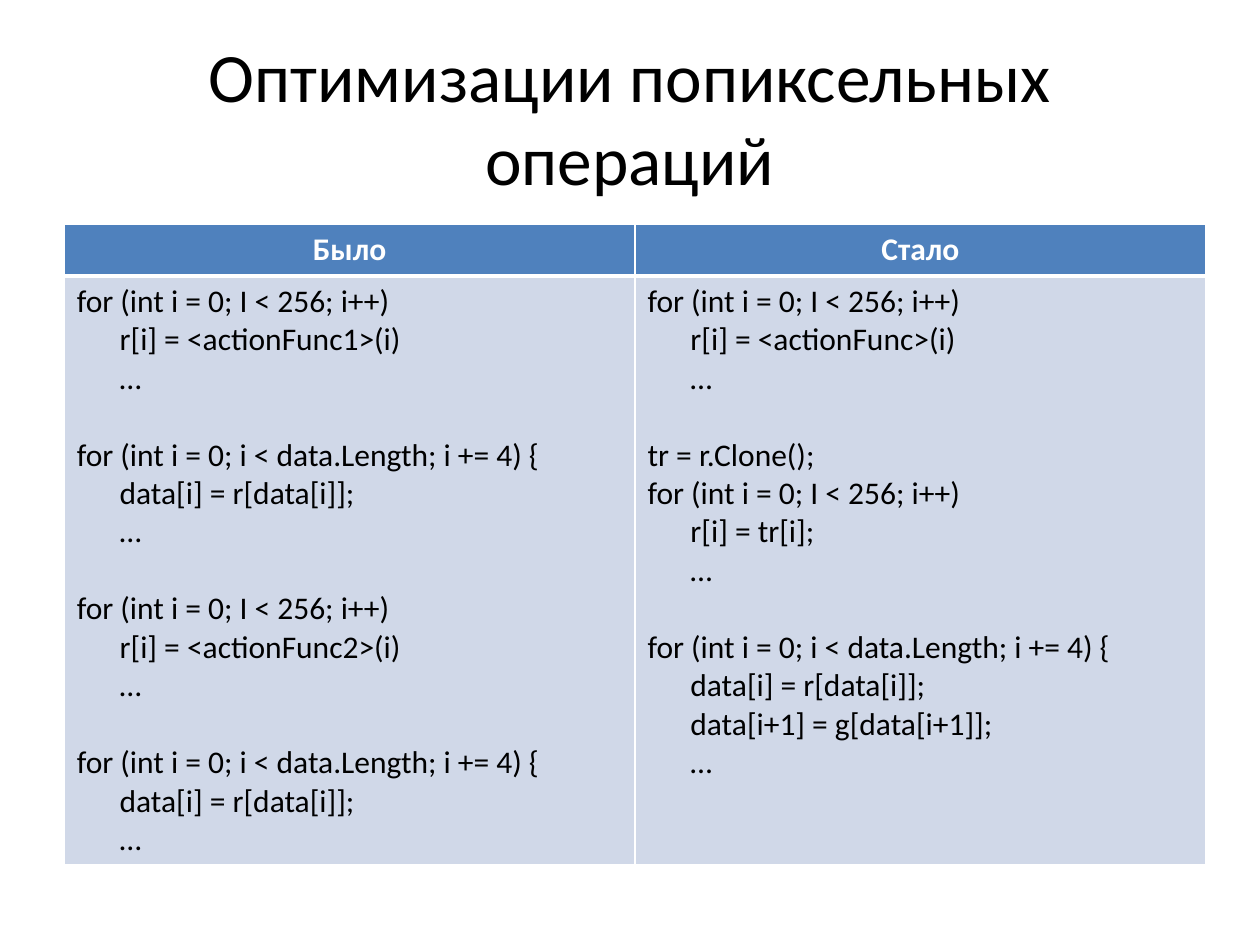
"""Build a slide comparing per-pixel loops before and after optimization."""
import lxml.etree
import pptx
import pptx.dml.color
import pptx.enum.text
import pptx.oxml.ns
import pptx.util

Inches, Pt = pptx.util.Inches, pptx.util.Pt
ALIGN = pptx.enum.text.PP_ALIGN

COLORS = {"text": "000000", "header": "4F81BD", "body": "D0D8E8", "line": "FFFFFF"}
FONT = "Calibri"
TITLE = "Оптимизации попиксельных операций"
TABLE_LOOP = "for (int i = 0; I < 256; i++)"
DATA_LOOP = "for (int i = 0; i < data.Length; i += 4) {"
DATA_STEP = "data[i] = r[data[i]];"
COLUMNS = [
    ("Было", [
        [(0, TABLE_LOOP), (1, "r[i] = <actionFunc1>(i)"), (1, "…")],
        [(0, DATA_LOOP), (1, DATA_STEP), (1, "…")],
        [(0, TABLE_LOOP), (1, "r[i] = <actionFunc2>(i)"), (1, "…")],
        [(0, DATA_LOOP), (1, DATA_STEP), (1, "…")],
    ]),
    ("Стало", [
        [(0, TABLE_LOOP), (1, "r[i] = <actionFunc>(i)"), (1, "…")],
        [(0, "tr = r.Clone();"), (0, TABLE_LOOP), (1, "r[i] = tr[i];"), (1, "…")],
        [(0, DATA_LOOP), (1, DATA_STEP), (1, "data[i+1] = g[data[i+1]];"), (1, "…")],
    ]),
]
ROWS = [0.41, 4.67]
COLUMN_WIDTH = 4.53
INDENT = 0.34
BLOCK_GAP = 22


def add_run(p, text, size, color, bold=False):
    r = p.add_run()
    r.text = text
    r.font.name, r.font.size, r.font.bold = FONT, Pt(size), bold
    r.font.color.rgb = pptx.dml.color.RGBColor.from_string(COLORS[color])


def style_cell(cell, color, top, bottom):
    cell.fill.solid()
    cell.fill.fore_color.rgb = pptx.dml.color.RGBColor.from_string(COLORS[color])
    tc_pr = cell._tc.get_or_add_tcPr()
    qn = pptx.oxml.ns.qn
    for i, (side, width) in enumerate(zip("LRTB", (1, 1, top, bottom))):
        ln = lxml.etree.Element(qn(f"a:ln{side}"), w=str(Pt(width)))
        fill = lxml.etree.SubElement(ln, qn("a:solidFill"))
        lxml.etree.SubElement(fill, qn("a:srgbClr"), val=COLORS["line"])
        tc_pr.insert(i, ln)


def add_code(tf, blocks):
    p = tf.paragraphs[0]
    for b, block in enumerate(blocks):
        for n, (level, text) in enumerate(block):
            if b or n:
                p = tf.add_paragraph()
            if b and not n:
                p.space_before = Pt(BLOCK_GAP)
            p._p.get_or_add_pPr().set("marL", str(Inches(INDENT * level)))
            add_run(p, text, 18, "text")


def main():
    prs = pptx.Presentation()
    prs.slide_width, prs.slide_height = Inches(10), Inches(7.5)
    s = prs.slides.add_slide(prs.slide_layouts[6])

    tf = s.shapes.add_textbox(Inches(0.5), Inches(0.3), Inches(9), Inches(1.25)).text_frame
    tf.word_wrap = True
    tf.vertical_anchor = pptx.enum.text.MSO_ANCHOR.MIDDLE
    p = tf.paragraphs[0]
    p.alignment = ALIGN.CENTER
    add_run(p, TITLE, 39.6, "text")

    table = s.shapes.add_table(
        len(ROWS), len(COLUMNS), Inches(0.51), Inches(1.78),
        Inches(COLUMN_WIDTH * len(COLUMNS)), Inches(sum(ROWS))).table
    for row, height in zip(table.rows, ROWS):
        row.height = Inches(height)
    for c, (heading, blocks) in enumerate(COLUMNS):
        table.columns[c].width = Inches(COLUMN_WIDTH)
        header, body = table.cell(0, c), table.cell(1, c)
        style_cell(header, "header", 1, 3)
        style_cell(body, "body", 3, 1)
        p = header.text_frame.paragraphs[0]
        p.alignment = ALIGN.CENTER
        add_run(p, heading, 18, "line", bold=True)
        add_code(body.text_frame, blocks)

    prs.save("out.pptx")


if __name__ == "__main__":
    main()
